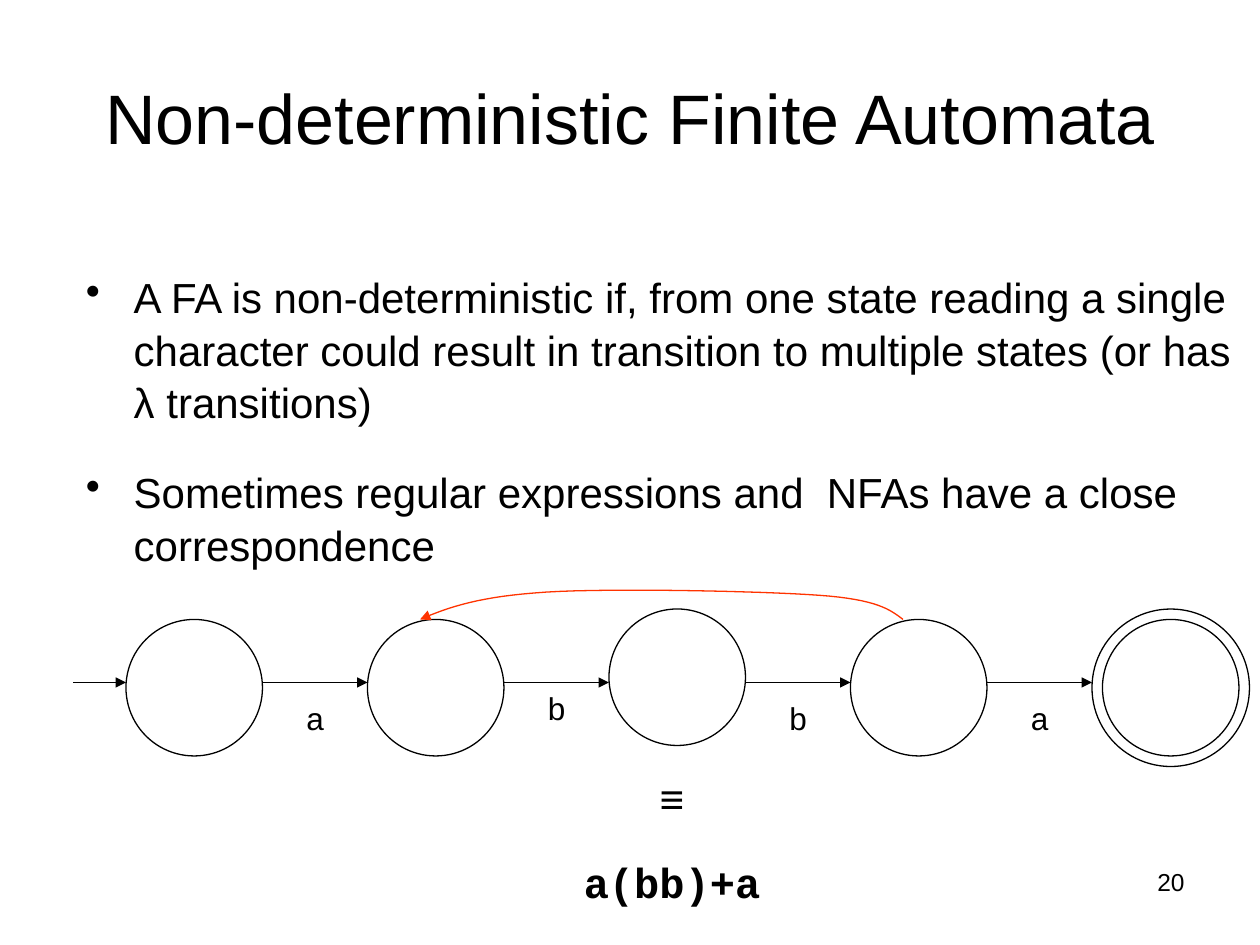
"""Build the slide on non-deterministic finite automata."""
from lxml.etree import SubElement
from pptx import Presentation
from pptx.dml.color import RGBColor
from pptx.enum.shapes import MSO_CONNECTOR, MSO_SHAPE
from pptx.enum.text import MSO_ANCHOR, PP_ALIGN
from pptx.oxml.ns import qn
from pptx.util import Inches, Pt

TITLE = "Non-deterministic Finite Automata"
BULLETS = [
    "A FA is non-deterministic if, from one state reading a single character "
    "could result in transition to multiple states (or has λ transitions)",
    "Sometimes regular expressions and  NFAs have a close correspondence",
]
STATE_TOPS = [59, 59, 58, 59, 59]
TRANSITIONS = [("a", 66), ("b", 65), ("b", 66), ("a", 66)]
FORMULA = [("≡", 64, 73, 5), ("a(bb)+a", 64, 81, 20)]
PAGE = "20"
LOOP = [
    [(86, 59), (84.8, 58.1), (83.6, 57.1), (78, 56.7)],
    [(78, 56.7), (72.4, 56.3), (58.3, 56), (52, 56.4)],
    [(52, 56.4), (45.7, 56.8), (42.8, 57.8), (40, 59)],
]
BLACK, RED = "000000", "FF3300"
UNIT = Inches(1) / 12
FIRST, PITCH, DIAMETER, ARROW_Y = 12, 23, 13, 65
STEPS = 16


def grid(*values):
    return [round(v * UNIT) for v in values]


def color(value):
    return RGBColor.from_string(value)


def add_text(s, box, lines, size, font="Arial", align=PP_ALIGN.LEFT, bold=False, wrap=True):
    tf = s.shapes.add_textbox(*grid(*box)).text_frame
    tf.word_wrap = wrap
    for i, line in enumerate(lines):
        p = tf.paragraphs[0] if i == 0 else tf.add_paragraph()
        p.text = line
        p.alignment = align
        p.font.size, p.font.name, p.font.bold = Pt(size), font, bold
        p.font.color.rgb = color(BLACK)
    return tf


def add_bullets(s, box, lines):
    tf = add_text(s, box, lines, 24)
    for i, p in enumerate(tf.paragraphs):
        p.line_spacing = 1.05
        p.space_before, p.space_after = Pt(6 if i else 0), Pt(15)
        pPr = p._p.get_or_add_pPr()
        pPr.set("marL", str(Inches(0.38)))
        pPr.set("indent", str(-Inches(0.38)))
        bullet = pPr.makeelement(qn("a:buChar"), {"char": "•"})
        pPr.find(qn("a:defRPr")).addprevious(bullet)


def set_line(sp, value, arrow=False):
    sp.line.color.rgb = color(value)
    sp.line.width = Pt(0.75)
    if arrow:
        SubElement(sp.line._get_or_add_ln(), qn("a:tailEnd"), type="triangle")


def add_state(s, x, y, diameter):
    sp = s.shapes.add_shape(MSO_SHAPE.OVAL, *grid(x, y, diameter, diameter))
    sp.shadow.inherit = False
    sp.fill.background()
    set_line(sp, BLACK)


def add_arrow(s, x1, x2):
    line = s.shapes.add_connector(MSO_CONNECTOR.STRAIGHT, *grid(x1, ARROW_Y, x2, ARROW_Y))
    set_line(line, BLACK, arrow=True)
    SubElement(line._element.spPr, qn("a:effectLst"))


def bezier(points, t):
    weights = ((1 - t) ** 3, 3 * t * (1 - t) ** 2, 3 * t * t * (1 - t), t ** 3)
    return grid(*(sum(w * v for w, v in zip(weights, axis)) for axis in zip(*points)))


def add_loop(s):
    points = [bezier(c, k / STEPS) for c in LOOP for k in range(1, STEPS + 1)]
    builder = s.shapes.build_freeform(*grid(*LOOP[0][0]))
    builder.add_line_segments(points, close=False)
    sp = builder.convert_to_shape()
    sp.shadow.inherit = False
    sp.fill.background()
    set_line(sp, RED, arrow=True)


def add_automaton(s):
    for i, top in enumerate(STATE_TOPS):
        x = FIRST + i * PITCH
        add_state(s, x + (i == len(STATE_TOPS) - 1), top, DIAMETER)
    add_state(s, x, STATE_TOPS[-1] - 1, DIAMETER + 2)
    add_arrow(s, FIRST - 5, FIRST)
    for i, (label, top) in enumerate(TRANSITIONS):
        start, end = FIRST + i * PITCH + DIAMETER, FIRST + (i + 1) * PITCH
        add_arrow(s, start, end)
        add_text(s, ((start + end) / 2 - 2, top, 4, 4.8), [label], 18,
                 align=PP_ALIGN.CENTER, wrap=False)
    add_loop(s)


def main():
    prs = Presentation()
    prs.slide_width, prs.slide_height = Inches(10), Inches(7.5)
    s = prs.slides.add_slide(prs.slide_layouts[6])
    title = add_text(s, (6, 3.6, 108, 15), [TITLE], 40, align=PP_ALIGN.CENTER)
    title.vertical_anchor = MSO_ANCHOR.MIDDLE
    add_bullets(s, (7, 25, 113, 59.4), BULLETS)
    add_automaton(s)
    for text, center, top, width in FORMULA:
        add_text(s, (center - width / 2, top, width, 6), [text], 24, "Courier New",
                 PP_ALIGN.CENTER, bold=True, wrap=False)
    add_text(s, (86, 82, 28, 6.2), [PAGE], 14, align=PP_ALIGN.RIGHT)
    prs.save("out.pptx")


if __name__ == "__main__":
    main()
